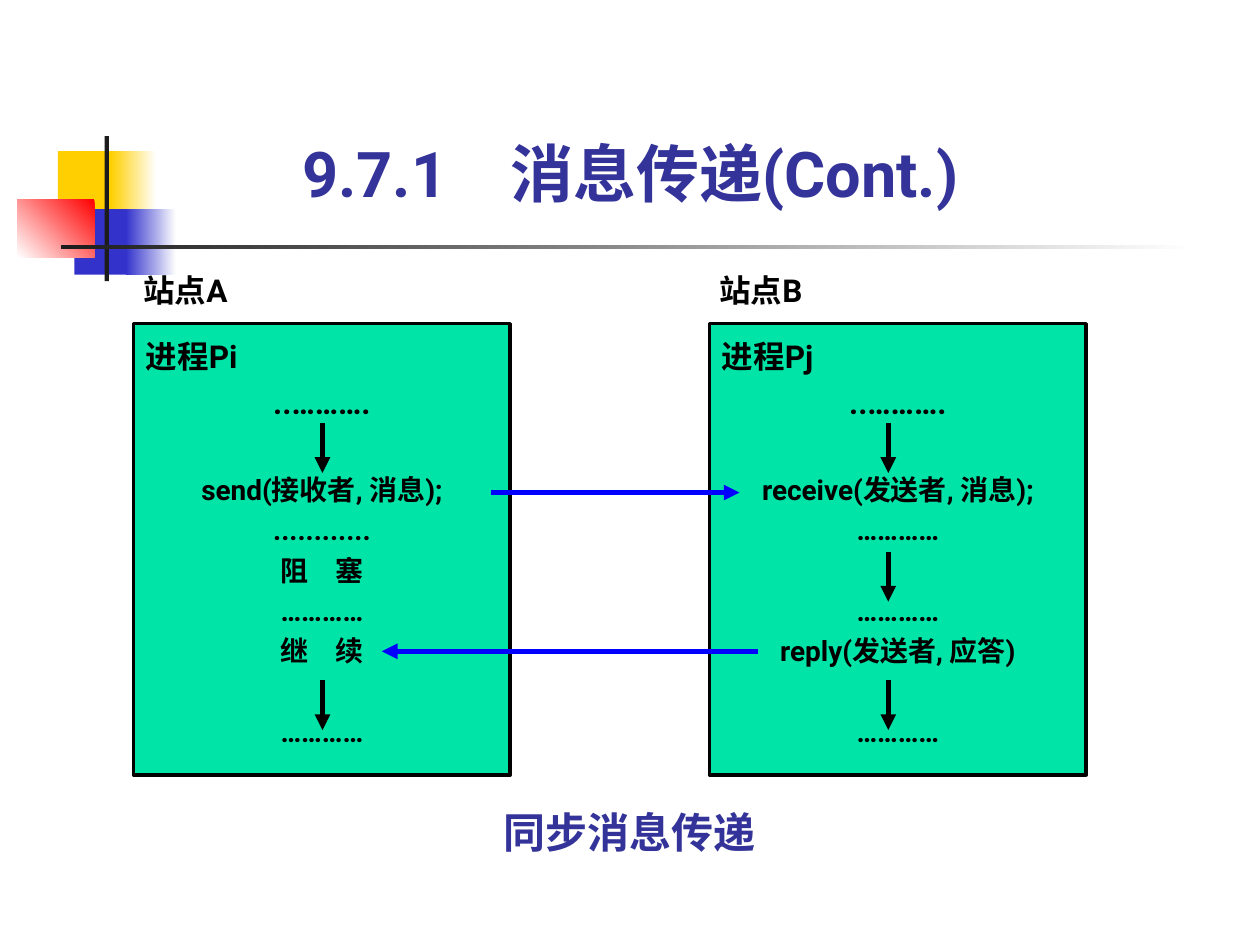
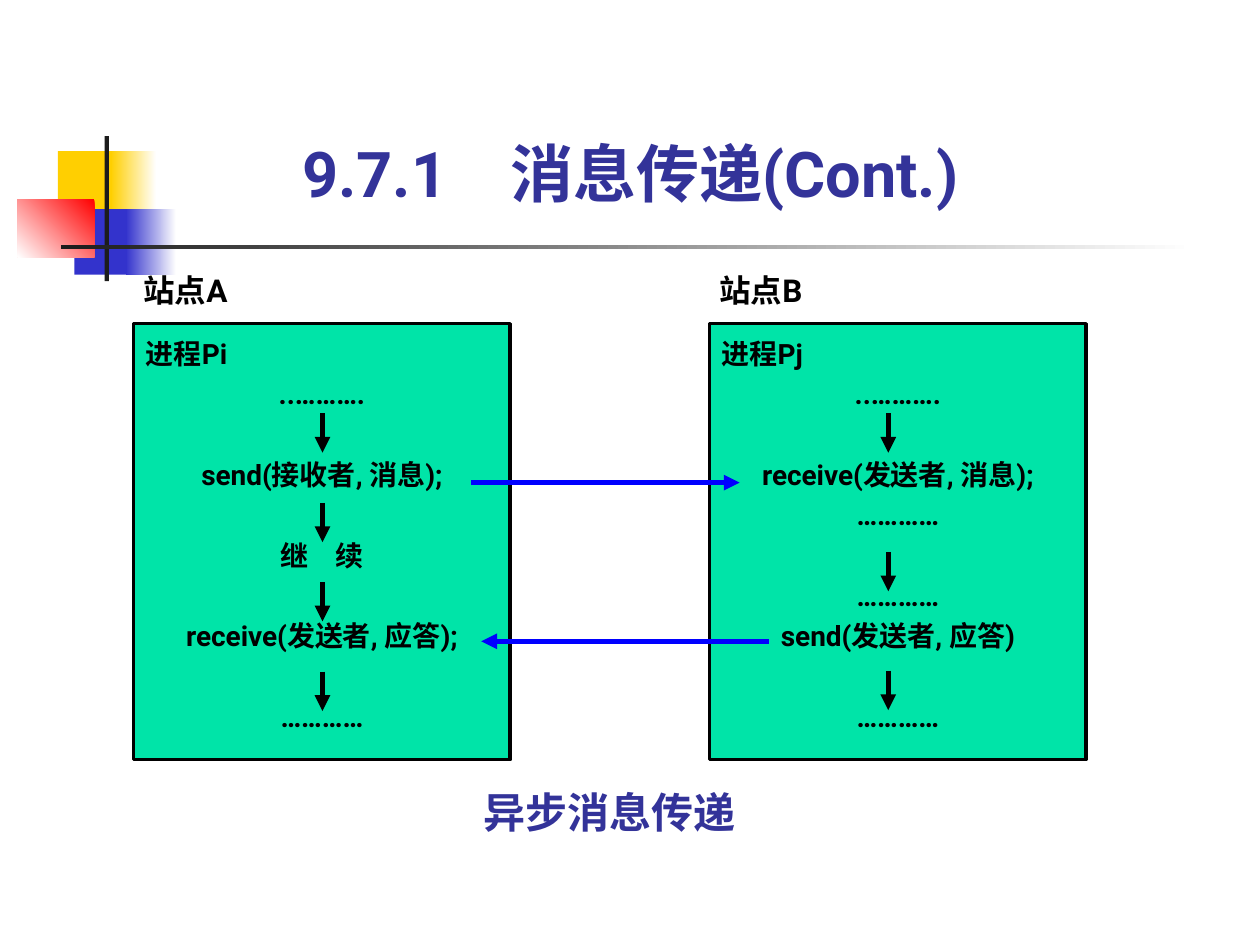
from lxml import etree
from pptx import Presentation
from pptx.dml.color import RGBColor
from pptx.enum.shapes import MSO_CONNECTOR, MSO_SHAPE
from pptx.enum.text import MSO_ANCHOR, PP_ALIGN
from pptx.oxml.ns import qn
from pptx.util import Pt

RECT = MSO_SHAPE.RECTANGLE
STRAIGHT = MSO_CONNECTOR.STRAIGHT
TOP, BOTTOM = MSO_ANCHOR.TOP, MSO_ANCHOR.BOTTOM
LEFT, CENTER = PP_ALIGN.LEFT, PP_ALIGN.CENTER

FONT = "Roboto"
INDIGO, BLACK, GREEN, BLUE = "333399", "000000", "00E4A8", "0000FF"
WHITE, YELLOW, VIOLET, RED, DARK = "FFFFFF", "FFCF01", "3333CC", "FF0000", "1C1C1C"

LINE_SPACING = 1.2
LINE_PITCH = 1.44
BOX_TOP, BOX_WIDTH = 185, 215.3
BOX_LEFTS = (76.3, 405.4)
ARROW_XS = (184.3, 507.6)

DECORATION = [
    ((33.1, 86.4, 34.6, 37.4), (YELLOW,), 0),
    ((63.4, 86.4, 25.9, 37.4), (WHITE, YELLOW), 180),
    ((42.5, 119.5, 33.1, 37.4), (VIOLET,), 0),
    ((72, 119.5, 28.8, 37.4), (WHITE, VIOLET), 180),
    ((10, 113.8, 44, 33.1), (RED, WHITE), 225),
    ((59.8, 77.8, 2.4, 82.8), (DARK,), 0),
    ((34.6, 140.1, 648, 2.4), (WHITE, DARK), 180),
]

SYNC = {
    "box_height": 257.8,
    "head_size": 18,
    "programs": [
        ["进程Pi", "..……….", None, "send(接收者, 消息);", "............",
         "阻　塞", "…………", "继　续", None, "…………"],
        ["进程Pj", "..……….", None, "receive(发送者, 消息);", "…………",
         None, "…………", "reply(发送者, 应答)", None, "…………"],
    ],
    "step_length": 28.4,
    "steps": [(241.9, 388.8), (241.9, 315.4, 388.8)],
    "messages": [(280.8, 422.6, 281.5), (433.4, 218.2, 372.2)],
    "caption": ("同步消息传递", 280.8, 457.2),
}
ASYNC = {
    "box_height": 249.1,
    "head_size": 16,
    "programs": [
        ["进程Pi", "..……….", None, "send(接收者, 消息);", None,
         "继　续", None, "receive(发送者, 应答);", None, "…………"],
        ["进程Pj", "..……….", None, "receive(发送者, 消息);", "…………",
         None, "…………", "send(发送者, 应答)", None, "…………"],
    ],
    "step_length": 22.5,
    "steps": [(236.2, 287.3, 332.6, 383.8), (236.2, 315.4, 383.3)],
    "messages": [(269.3, 422.6, 275.8), (439.2, 275, 366.5)],
    "caption": ("异步消息传递", 269.3, 445.7),
}


def rgb(value):
    return RGBColor.from_string(value)


def apply(target, formats):
    for name, value in formats.items():
        setattr(target, name, value)


def add_run(p, text, size, color):
    r = p.add_run()
    r.text = text
    apply(r.font, {"name": FONT, "size": Pt(size), "bold": True})
    r.font.color.rgb = rgb(color)


def add_rect(s, box, colors, angle=0):
    sp = s.shapes.add_shape(RECT, *map(Pt, box))
    sp.shadow.inherit = False
    sp.line.fill.background()
    if len(colors) == 1:
        sp.fill.solid()
        sp.fill.fore_color.rgb = rgb(colors[0])
    else:
        sp.fill.gradient()
        sp.fill.gradient_angle = angle
        for stop, color in zip(sp.fill.gradient_stops, colors):
            stop.color.rgb = rgb(color)
    return sp


def add_text(s, box, text, size, color, insets=(7.2, 3.6), anchor=TOP):
    tf = s.shapes.add_textbox(*map(Pt, box)).text_frame
    side, edge = map(Pt, insets)
    apply(tf, {"word_wrap": False, "vertical_anchor": anchor,
               "margin_left": side, "margin_right": side,
               "margin_top": edge, "margin_bottom": edge})
    add_run(tf.paragraphs[0], text, size, color)


def add_program(s, left, height, lines, head_size):
    sp = add_rect(s, (left, BOX_TOP, BOX_WIDTH, height), (GREEN,))
    sp.line.color.rgb = rgb(BLACK)
    sp.line.width = Pt(2)
    tf = sp.text_frame
    apply(tf, {"word_wrap": True, "vertical_anchor": TOP,
               "margin_left": Pt(7.2), "margin_right": Pt(7.2),
               "margin_top": Pt(3.6), "margin_bottom": Pt(15.1)})
    gap = 0
    for i, text in enumerate(lines):
        size = head_size if i < 3 else 16
        if text is None:
            gap += size * LINE_PITCH
            continue
        p = tf.add_paragraph() if i else tf.paragraphs[0]
        apply(p, {"alignment": CENTER if i else LEFT,
                  "line_spacing": LINE_SPACING})
        if gap:
            p.space_before = Pt(gap)
        add_run(p, text, size, BLACK)
        gap = 0


def add_arrow(s, start, end, color):
    c = s.shapes.add_connector(STRAIGHT, *map(Pt, start + end))
    c.line.color.rgb = rgb(color)
    c.line.width = Pt(3)
    etree.SubElement(c.line._get_or_add_ln(), qn("a:tailEnd"), type="triangle")
    etree.SubElement(c._element.spPr, qn("a:effectLst"))


def add_frame(s):
    for box, colors, angle in DECORATION:
        add_rect(s, box, colors, angle)
    add_text(s, (172.8, 77, 391, 43.2), "9.7.1　消息传递(Cont.)", 36, INDIGO,
             (0, 0), BOTTOM)


def add_diagram(s, scheme):
    for site, left, x, lines, tops in zip(
            "AB", BOX_LEFTS, ARROW_XS, scheme["programs"], scheme["steps"]):
        add_program(s, left, scheme["box_height"], lines, scheme["head_size"])
        add_text(s, (left - 1.4, 151.2, 67, 28.8), "站点" + site, 18, BLACK)
        for y in tops:
            add_arrow(s, (x, y), (x, y + scheme["step_length"]), BLACK)
    for x1, x2, y in scheme["messages"]:
        add_arrow(s, (x1, y), (x2, y), BLUE)
    text, left, top = scheme["caption"]
    add_text(s, (left, top, 159.1, 36), text, 24, INDIGO)


def main():
    prs = Presentation()
    prs.slide_width, prs.slide_height = Pt(720), Pt(540)
    for scheme in (SYNC, ASYNC):
        s = prs.slides.add_slide(prs.slide_layouts[6])
        add_frame(s)
        add_diagram(s, scheme)
    prs.save("out.pptx")


if __name__ == "__main__":
    main()
